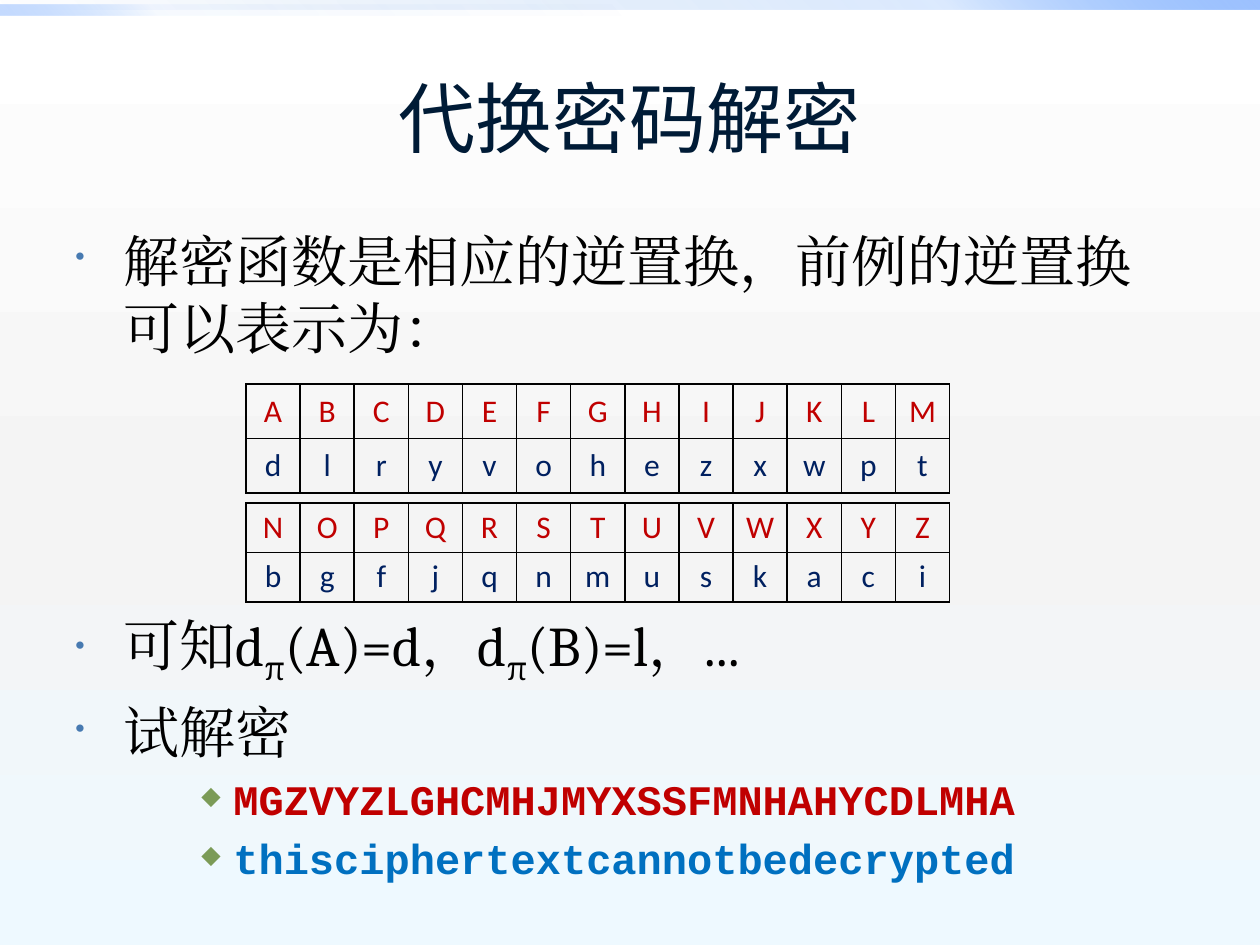
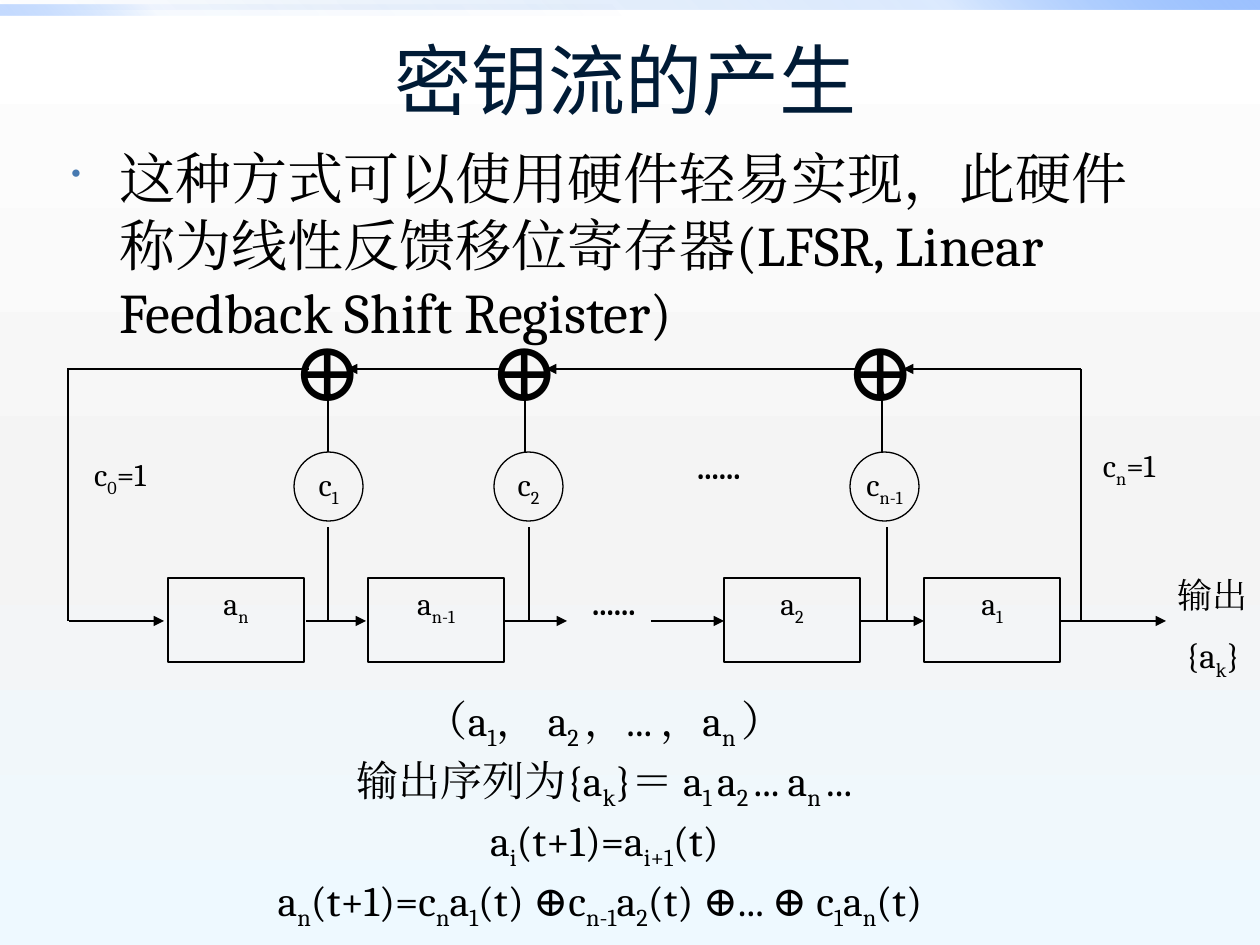
from dataclasses import dataclass, replace

from lxml.etree import SubElement
from pptx import Presentation
from pptx.dml.color import RGBColor
from pptx.enum.shapes import MSO_CONNECTOR, MSO_SHAPE
from pptx.enum.text import MSO_ANCHOR, PP_ALIGN
from pptx.oxml.ns import qn
from pptx.util import Emu, Pt

PX_PER_INCH = 126
BLACK, NAVY, RED, BLUE = "000000", "002060", "C00000", "0070C0"
TITLE_COLOR = "001B36"
BACKDROP = [(0, "FFFFFF", 100), (55, "F4F4F4", 100), (100, "EEF9FF", 100)]
TOP_BAND = [(0, "0058B7", 0), (75, "4F95FF", 20), (100, "9EC2FF", 100)]
LEFT_BAND = [(0, "0058B7", 0), (75, "4F95FF", 5), (100, "9EC2FF", 60)]


@dataclass(frozen=True)
class Box:
    left: int
    top: int
    width: int
    height: int

    def inner(self, x, y, width, height):
        return Box(self.left + x, self.top + y, width, height)

    def emu(self):
        return px(self.left), px(self.top), px(self.width), px(self.height)


@dataclass(frozen=True)
class Style:
    size: int
    face: str = "Cambria"
    color: str = BLACK
    bold: bool = False
    align: PP_ALIGN = PP_ALIGN.CENTER
    before: int = 0
    line_spacing: float = 1.0
    margin: int = 0
    hang: int = 0
    bullet: tuple = ()


TITLE = Style(44, "Calibri", TITLE_COLOR)
POINT = Style(32, align=PP_ALIGN.LEFT, before=20, margin=48, hang=48,
              bullet=("•", "477AB1", 50))
CIPHER = Style(24, "Courier New", RED, True, PP_ALIGN.LEFT, 20, margin=158, hang=32,
               bullet=("◆", "7B9B57", 60))
LETTER = Style(18, "Calibri")
LABEL = Style(18, before=50)
FORMULA = Style(24, before=20, line_spacing=0.9, margin=48, hang=48)


def px(length):
    return Emu(round(length * 914400 / PX_PER_INCH))


def rgb(color):
    return RGBColor.from_string(color)


def paint_gradient(owner, fill, stops, angle):
    fill.gradient()
    gradient = next(owner.iter(qn("a:gradFill")))
    stop_list = gradient.find(qn("a:gsLst"))
    for stop in list(stop_list):
        stop_list.remove(stop)
    for position, color, opacity in stops:
        stop = SubElement(stop_list, qn("a:gs"), pos=str(position * 1000))
        tint = SubElement(stop, qn("a:srgbClr"), val=color)
        if opacity < 100:
            SubElement(tint, qn("a:alpha"), val=str(opacity * 1000))
    gradient.find(qn("a:lin")).set("ang", str(angle * 60000))


def format_paragraph(paragraph, style):
    paragraph.alignment = style.align
    paragraph.line_spacing = style.line_spacing
    paragraph.space_before = Pt(0)
    properties = paragraph._p.get_or_add_pPr()
    before = properties.find(qn("a:spcBef"))
    before.remove(before[0])
    SubElement(before, qn("a:spcPct"), val=str(style.before * 1000))
    properties.set("marL", str(px(style.margin)))
    properties.set("indent", str(-px(style.hang)))
    if style.bullet:
        mark, color, percent = style.bullet
        SubElement(SubElement(properties, qn("a:buClr")), qn("a:srgbClr"), val=color)
        SubElement(properties, qn("a:buSzPct"), val=str(percent * 1000))
        SubElement(properties, qn("a:buChar"), char=mark)


def format_run(run, style, subscript):
    font = run.font
    font.size, font.name, font.bold = Pt(style.size), style.face, style.bold
    font.color.rgb = rgb(style.color)
    properties = run._r.get_or_add_rPr()
    SubElement(properties, qn("a:ea"), typeface=style.face)
    if subscript:
        properties.set("baseline", "-25000")


def write(frame, lines):
    """Segments between bars alternate between base text and subscript."""
    for number, (text, style) in enumerate(lines):
        paragraph = frame.add_paragraph() if number else frame.paragraphs[0]
        format_paragraph(paragraph, style)
        for index, segment in enumerate(text.split("|")):
            if segment:
                run = paragraph.add_run()
                run.text = segment
                format_run(run, style, index % 2 == 1)


def set_insets(frame, horizontal, vertical):
    frame.margin_left = frame.margin_right = px(horizontal)
    frame.margin_top = frame.margin_bottom = px(vertical)


def add_text(slide, box, lines, anchor=MSO_ANCHOR.TOP):
    frame = slide.shapes.add_textbox(*box.emu()).text_frame
    frame.word_wrap = True
    frame.vertical_anchor = anchor
    write(frame, lines)
    return frame


def add_outline(slide, preset, box, text, style):
    outline = slide.shapes.add_shape(preset, *box.emu())
    outline.shadow.inherit = False
    outline.fill.background()
    outline.line.color.rgb = rgb(BLACK)
    outline.line.width = Pt(0.75)
    frame = outline.text_frame
    frame.vertical_anchor = MSO_ANCHOR.TOP
    write(frame, [(text, style)])
    return frame


def add_wire(slide, box, start, end, arrow=False):
    points = [px(value) for x, y in (start, end) for value in (box.left + x, box.top + y)]
    wire = slide.shapes.add_connector(MSO_CONNECTOR.STRAIGHT, *points)
    wire.line.color.rgb = rgb(BLACK)
    wire.line.width = Pt(0.75)
    properties = wire._element.spPr
    if arrow:
        SubElement(properties.find(qn("a:ln")), qn("a:tailEnd"), type="triangle")
    SubElement(properties, qn("a:effectLst"))


def add_themed_slide(deck, title, title_box):
    slide = deck.slides.add_slide(deck.slide_layouts[6])
    paint_gradient(slide._element, slide.background.fill, BACKDROP, 90)
    bands = [(Box(0, 0, 1260, 10), TOP_BAND, 315), (Box(0, 5, 630, 10), LEFT_BAND, 135)]
    for box, stops, angle in bands:
        band = slide.shapes.add_shape(MSO_SHAPE.RECTANGLE, *box.emu())
        band.shadow.inherit = False
        band.line.fill.background()
        paint_gradient(band._element.spPr, band.fill, stops, angle)
    add_text(slide, title_box, [(title, TITLE)], MSO_ANCHOR.MIDDLE)
    return slide


def format_cell(cell, letter, color):
    cell.fill.background()
    cell.vertical_anchor = MSO_ANCHOR.MIDDLE
    set_insets(cell, 9, 0)
    write(cell.text_frame, [(letter, replace(LETTER, color=color))])
    properties = cell._tc.get_or_add_tcPr()
    for index, side in enumerate(("a:lnL", "a:lnR", "a:lnT", "a:lnB")):
        border = properties.makeelement(qn(side), {"w": str(Pt(1))})
        SubElement(SubElement(border, qn("a:solidFill")), qn("a:srgbClr"), val=BLACK)
        properties.insert(index, border)


def add_substitution_table(slide, box, cipher_letters, plain_letters):
    table = slide.shapes.add_table(2, len(cipher_letters), *box.emu()).table
    table.first_row = table.horz_banding = False
    for column in table.columns:
        column.width = px(box.width / len(cipher_letters))
    for row, (letters, color) in enumerate([(cipher_letters, RED), (plain_letters, NAVY)]):
        table.rows[row].height = px(box.height / 2)
        for column, letter in enumerate(letters):
            format_cell(table.cell(row, column), letter, color)


def add_shift_register(slide, box):
    wire_y, feedback_y = 310, 58
    label_size = (136, 84)
    for x, name in [(116, "a|n"), (316, "a|n-1"), (672, "a|2"), (872, "a|1")]:
        add_outline(slide, MSO_SHAPE.RECTANGLE, box.inner(x, 267, *label_size), name, LABEL)
    for x, name in [(242, "c|1"), (442, "c|2"), (798, "c|n-1")]:
        frame = add_outline(slide, MSO_SHAPE.OVAL, box.inner(x, 141, 69, 69), name,
                            replace(LABEL, before=0))
        frame.vertical_anchor = MSO_ANCHOR.MIDDLE
        frame.word_wrap = False
        set_insets(frame, 0, 0)

    for start, end in [(17, 112), (254, 314), (452, 515), (599, 672), (809, 872), (1009, 1114)]:
        add_wire(slide, box, (start, wire_y), (end, wire_y), True)
    for start, end in [(1029, 851), (809, 494), (452, 295)]:
        add_wire(slide, box, (start, feedback_y), (end, feedback_y), True)
    add_wire(slide, box, (257, feedback_y), (15, feedback_y))
    for x in (16, 1029):
        add_wire(slide, box, (x, feedback_y), (x, wire_y))
    for tap_x, rise_x in [(276, 276), (477, 473), (835, 830)]:
        add_wire(slide, box, (tap_x, wire_y), (tap_x, 216))
        add_wire(slide, box, (rise_x, 141), (rise_x, 78), True)

    adder, dots = replace(LABEL, size=48), replace(LABEL, bold=True)
    labels = [(x, 0, "⊕", adder) for x in (208, 405, 761)]
    labels += [(494, 267, "......", dots), (599, 131, "......", dots),
               (1009, 129, "c|n|=1", LABEL), (0, 138, "c|0|=1", LABEL)]
    for x, y, text, style in labels:
        add_text(slide, box.inner(x, y, *label_size), [(text, style)])
    output = replace(LABEL, size=20)
    frame = add_text(slide, box.inner(1114, 257, 94, 126),
                     [("输出", output), ("{a|k|}", output)])
    set_insets(frame, 0, 6)


def build_decryption_slide(deck):
    slide = add_themed_slide(deck, "代换密码解密", Box(63, 38, 1134, 158))
    body = Box(63, 220, 1134, 675)
    add_text(slide, body.inner(0, 0, 1134, 155),
             [("解密函数是相应的逆置换，前例的逆置换可以表示为：", POINT)])
    add_text(slide, body.inner(0, 384, 1134, 291), [
        ("可知d|π|(A)=d，d|π|(B)=l，...", POINT),
        ("试解密", POINT),
        ("MGZVYZLGHCMHJMYXSSFMNHAHYCDLMHA", CIPHER),
        ("thisciphertextcannotbedecrypted", replace(CIPHER, color=BLUE)),
    ])
    add_substitution_table(slide, body.inner(183, 164, 704, 109),
                           "ABCDEFGHIJKLM", "dlryvohezxwpt")
    add_substitution_table(slide, body.inner(183, 283, 704, 99),
                           "NOPQRSTUVWXYZ", "bgfjqnmuskaci")


def build_keystream_slide(deck):
    slide = add_themed_slide(deck, "密钥流的产生", Box(59, 0, 1134, 158))
    add_text(slide, Box(59, 137, 1134, 227), [
        ("这种方式可以使用硬件轻易实现，此硬件称为线性反馈移位寄存器"
         "(LFSR, Linear Feedback Shift Register)", POINT)])
    add_shift_register(slide, Box(52, 311, 1208, 383))
    formulas = [
        "（a|1|， a|2 |，... ，a|n |）",
        "输出序列为{a|k|}＝ a|1 |a|2 |... a|n |...",
        "a|i|(t+1)=a|i+1|(t)",
        "a|n|(t+1)=c|n|a|1|(t) ⊕c|n-1|a|2|(t) ⊕... ⊕ c|1|a|n|(t) ",
    ]
    add_text(slide, Box(69, 689, 1071, 232), [(formula, FORMULA) for formula in formulas])


def main():
    deck = Presentation()
    deck.slide_width, deck.slide_height = px(1260), px(945)
    build_decryption_slide(deck)
    build_keystream_slide(deck)
    deck.save("out.pptx")


if __name__ == "__main__":
    main()
